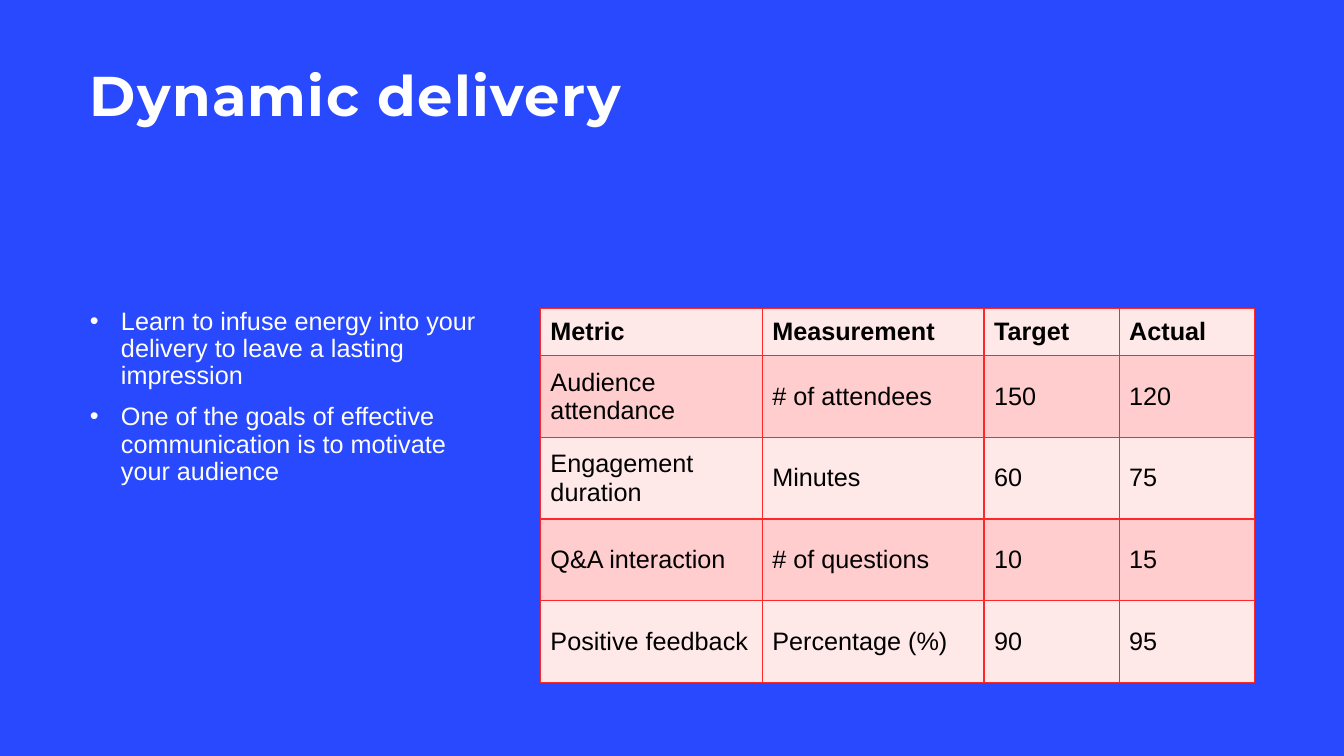
from lxml.etree import SubElement
from pptx import Presentation
from pptx.dml.color import RGBColor
from pptx.enum.text import MSO_ANCHOR as Anchor, MSO_AUTO_SIZE as AutoSize, PP_ALIGN as Align
from pptx.oxml.ns import qn
from pptx.util import Inches, Pt

BLUE, WHITE, BLACK, RED = "2849FD", "FFFFFF", "000000", "FF2828"
BANDS = ["FFE8E8", "FFCDCD"]
GOALS = [
    "Learn to infuse energy into your delivery to leave a lasting impression",
    "One of the goals of effective communication is to motivate your audience",
]
METRICS = [
    ["Metric", "Measurement", "Target", "Actual"],
    ["Audience attendance", "# of attendees", "150", "120"],
    ["Engagement duration", "Minutes", "60", "75"],
    ["Q&A interaction", "# of questions", "10", "15"],
    ["Positive feedback", "Percentage (%)", "90", "95"],
]
WIDTHS = [2.2, 2.2, 1.34, 1.34]
HEIGHTS = [0.47] + [0.81] * 4


def paint(fill, color):
    fill.solid()
    fill.fore_color.rgb = RGBColor.from_string(color)


def write(para, text, size=18, font="Arial", color=BLACK, bold=False,
          lines=1.0, before=0, track=0):
    """Add formatted text; track is the letter spacing in points."""
    para.alignment = Align.LEFT
    para.line_spacing = lines
    para.space_before = Pt(before)
    run = para.add_run()
    run.text = text
    run.font.size = Pt(size)
    run.font.name = font
    run.font.bold = bold
    run.font.color.rgb = RGBColor.from_string(color)
    if track:
        run.font._element.set("spc", str(track * 100))


def bullet(para, indent):
    props = para._p.get_or_add_pPr()
    props.set("marL", str(Inches(indent)))
    props.set("indent", str(-Inches(indent)))
    SubElement(props, qn("a:buFont"), typeface="Arial")
    SubElement(props, qn("a:buChar"), char="•")


def place(shape, left, top, width, height):
    """Move a placeholder and return its plain text frame."""
    shape.left, shape.top = Inches(left), Inches(top)
    shape.width, shape.height = Inches(width), Inches(height)
    frame = shape.text_frame
    frame.margin_left = frame.margin_right = 0
    frame.margin_top = frame.margin_bottom = 0
    frame.word_wrap = True
    frame.auto_size = AutoSize.NONE
    frame.vertical_anchor = Anchor.TOP
    return frame


def border(cell, color, width):
    props = cell._tc.get_or_add_tcPr()
    for side in ("lnL", "lnR", "lnT", "lnB"):
        line = SubElement(props, qn(f"a:{side}"), w=str(Pt(width)))
        fill = SubElement(line, qn("a:solidFill"))
        SubElement(fill, qn("a:srgbClr"), val=color)


def add_list(shape, items):
    frame = place(shape, 0.89, 3.06, 4, 3.44)
    for i, item in enumerate(items):
        para = frame.add_paragraph() if i else frame.paragraphs[0]
        bullet(para, 0.31)
        write(para, item, color=WHITE, lines=0.9, before=10 if i else 0)


def add_grid(slide, rows):
    table = slide.shapes.add_table(
        len(rows), len(WIDTHS), Inches(5.36), Inches(3.06),
        Inches(sum(WIDTHS)), Inches(sum(HEIGHTS))).table
    for col, width in zip(table.columns, WIDTHS):
        col.width = Inches(width)
    for r, values in enumerate(rows):
        table.rows[r].height = Inches(HEIGHTS[r])
        for c, value in enumerate(values):
            cell = table.cell(r, c)
            border(cell, RED, 1)
            paint(cell.fill, BANDS[r % 2])
            cell.vertical_anchor = Anchor.MIDDLE
            write(cell.text_frame.paragraphs[0], value, bold=r == 0)


def main():
    deck = Presentation()
    deck.slide_width, deck.slide_height = Inches(13.33), Inches(7.5)
    slide = deck.slides.add_slide(deck.slide_layouts[1])
    paint(slide.background.fill, BLUE)
    title = place(slide.shapes.title, 0.89, 0.68, 11.56, 1.97)
    write(title.paragraphs[0], "Dynamic delivery", size=40, font="Montserrat",
          color=WHITE, bold=True, lines=0.9, track=1)
    add_list(slide.placeholders[1], GOALS)
    add_grid(slide, METRICS)
    deck.save("out.pptx")


if __name__ == "__main__":
    main()
